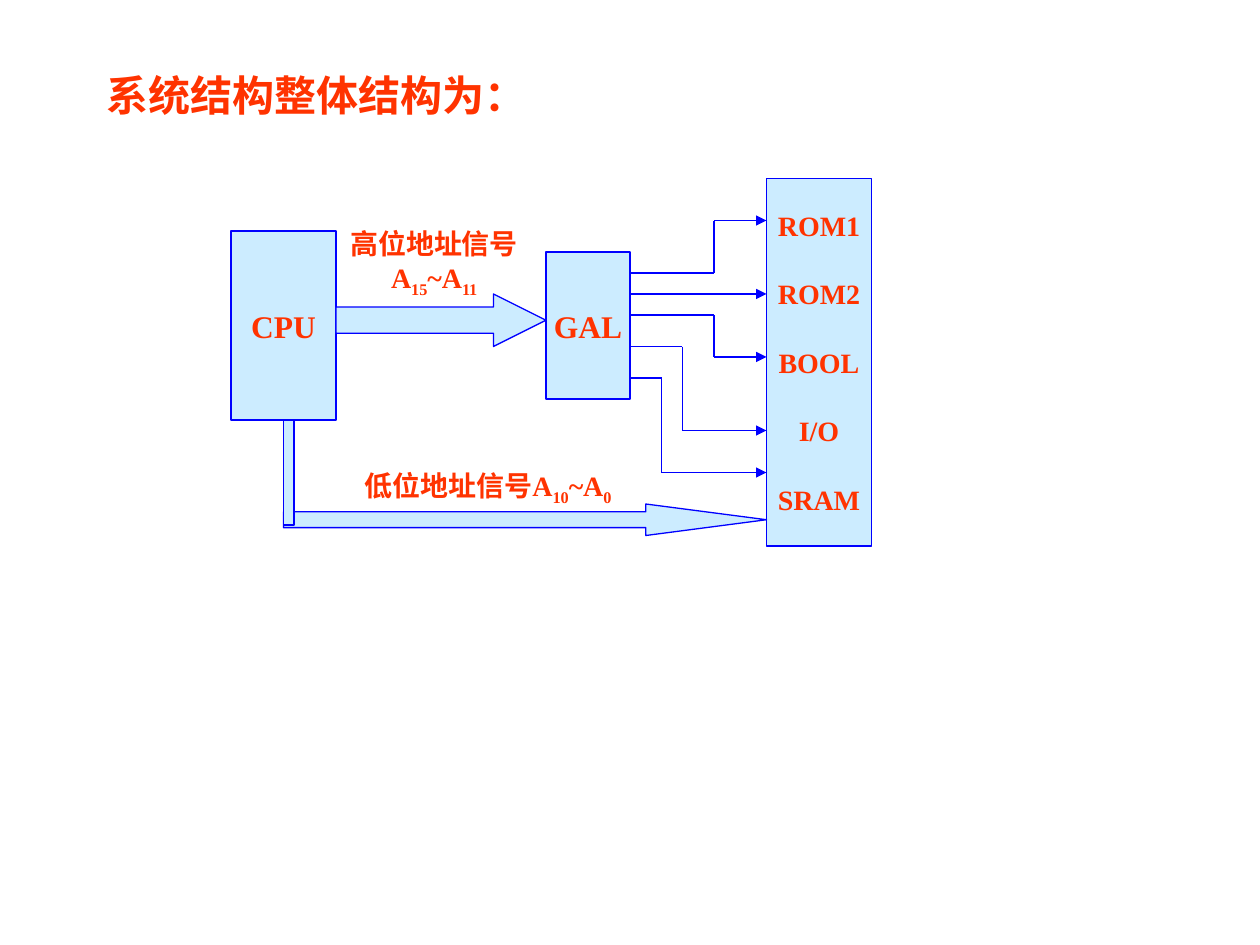
from itertools import pairwise
from lxml.etree import SubElement
from pptx import Presentation
from pptx.dml.color import RGBColor
from pptx.enum.shapes import MSO_CONNECTOR, MSO_SHAPE
from pptx.enum.text import MSO_ANCHOR, PP_ALIGN
from pptx.oxml.ns import qn
from pptx.util import Inches, Pt

RED = RGBColor(0xFF, 0x33, 0x00)
BLUE = RGBColor(0x00, 0x00, 0xFF)
PALE_BLUE = RGBColor(0xCC, 0xEC, 0xFF)
FONT = "Times New Roman"
CELL = 1 / 12  # grid step in inches; all places below are in cells

# Blocks: labels, (left, top, width, height), text size
BLOCKS = [
    (["CPU"], (22, 22, 10, 18), 18),
    (["GAL"], (52, 24, 8, 14), 18),
    (["ROM1", "ROM2", "BOOL", "I/O", "SRAM"], (73, 17, 10, 35), 16),
]
# Address buses: shape, place, adjustments
BUSES = [
    (MSO_SHAPE.RIGHT_ARROW, (32, 28, 20, 5), (0.5, 1)),
    (MSO_SHAPE.RIGHT_ARROW, (27, 48, 46, 3), (0.5, 3.83)),
    (MSO_SHAPE.RECTANGLE, (27, 40, 1, 10), ()),
]
# Texts: place, size, alignment, (text, is subscript) pieces
TEXTS = [
    ((9, 6, 102, 9), 24, PP_ALIGN.LEFT, [("系统结构整体结构为：", False)]),
    ((30, 21, 22.7, 8), 16, PP_ALIGN.CENTER,
     [("高位地址信号A", False), ("15", True), ("~A", False), ("11", True)]),
    ((32, 44, 29, 5), 16, PP_ALIGN.CENTER,
     [("低位地址信号A", False), ("10", True), ("~A", False), ("0", True)]),
]
# Select lines from GAL to the devices: start row, turning column, end row
SELECT_LINES = [(26, 68, 21), (28, 68, 28), (30, 68, 34), (33, 65, 41), (36, 63, 45)]
GAL_RIGHT, DEVICES_LEFT = 60, 73


def cells(*counts):
    return [Inches(count * CELL) for count in counts]


def set_font(paragraph, size):
    font = paragraph.font
    font.name, font.size, font.bold = FONT, Pt(size), True
    font.color.rgb = RED


def add_part(page, kind, place):
    shape = page.shapes.add_shape(kind, *cells(*place))
    shape.shadow.inherit = False
    shape.fill.solid()
    shape.fill.fore_color.rgb = PALE_BLUE
    shape.line.color.rgb = BLUE
    shape.line.width = Pt(0.75)
    return shape


def add_block(page, labels, place, size):
    frame = add_part(page, MSO_SHAPE.RECTANGLE, place).text_frame
    frame.word_wrap = False
    frame.vertical_anchor = MSO_ANCHOR.MIDDLE
    for index, label in enumerate(labels):
        para = frame.add_paragraph() if index else frame.paragraphs[0]
        para.text = label
        para.alignment = PP_ALIGN.CENTER
        if index:
            para.space_before = Pt(20)
        set_font(para, size)


def add_text(page, place, size, alignment, pieces):
    frame = page.shapes.add_textbox(*cells(*place)).text_frame
    frame.word_wrap = True
    para = frame.paragraphs[0]
    para.alignment = alignment
    set_font(para, size)
    for text, is_subscript in pieces:
        span = para.add_run()
        span.text = text
        if is_subscript:
            span.font._element.set("baseline", "-25000")


def add_line(page, start, end, arrow):
    line = page.shapes.add_connector(MSO_CONNECTOR.STRAIGHT, *cells(*start, *end))
    line.line.color.rgb = BLUE
    line.line.width = Pt(0.75)
    if arrow:
        SubElement(line.line._get_or_add_ln(), qn("a:tailEnd"), type="triangle")
    SubElement(line._element.spPr, qn("a:effectLst"))


def main():
    deck = Presentation()
    deck.slide_width, deck.slide_height = Inches(10), Inches(7.5)
    page = deck.slides.add_slide(deck.slide_layouts[6])

    for block in BLOCKS:
        add_block(page, *block)
    for kind, place, adjustments in BUSES:
        bus = add_part(page, kind, place)
        for index, value in enumerate(adjustments):
            bus.adjustments[index] = value
    for text in TEXTS:
        add_text(page, *text)

    # Each select line is straight, or turns twice at its own column
    for start_row, turn, end_row in SELECT_LINES:
        points = [(GAL_RIGHT, start_row), (DEVICES_LEFT, end_row)]
        if start_row != end_row:
            points[1:1] = [(turn, start_row), (turn, end_row)]
        for start, end in pairwise(points):
            add_line(page, start, end, arrow=end == points[-1])

    deck.save("out.pptx")


if __name__ == "__main__":
    main()
